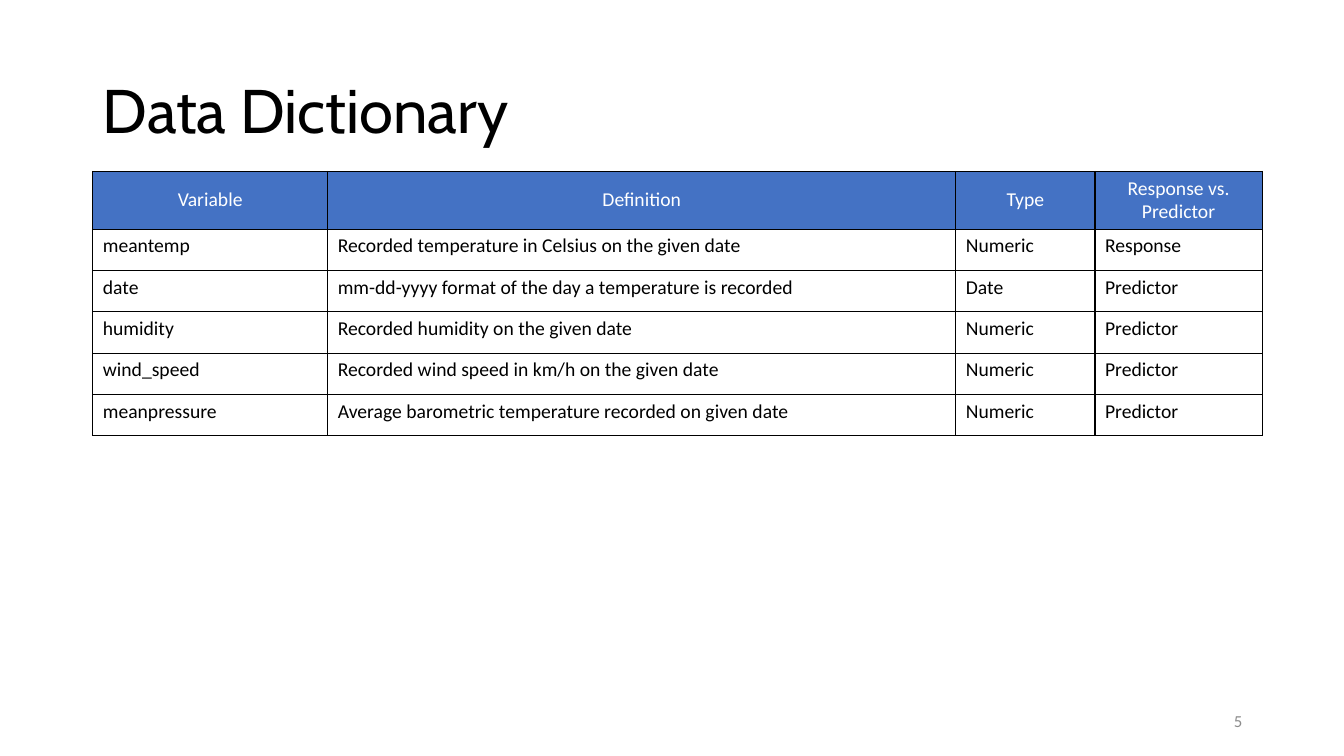
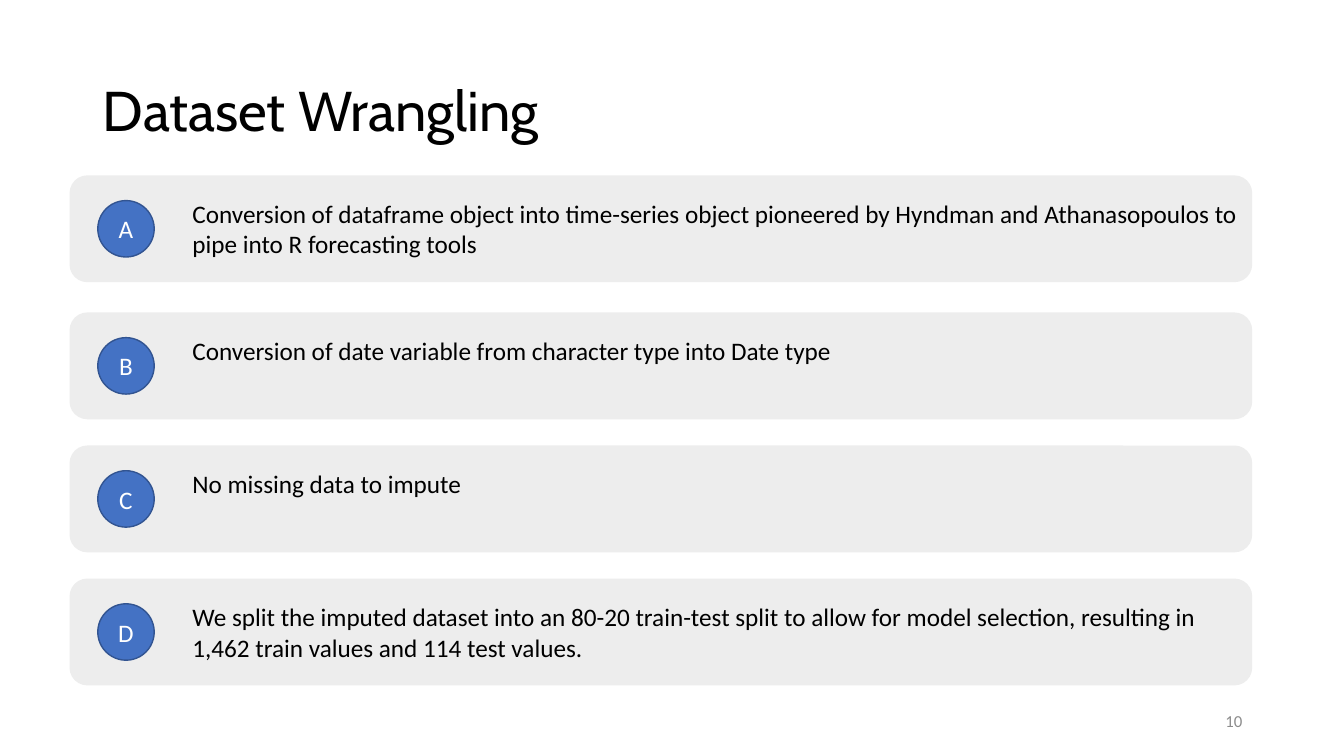
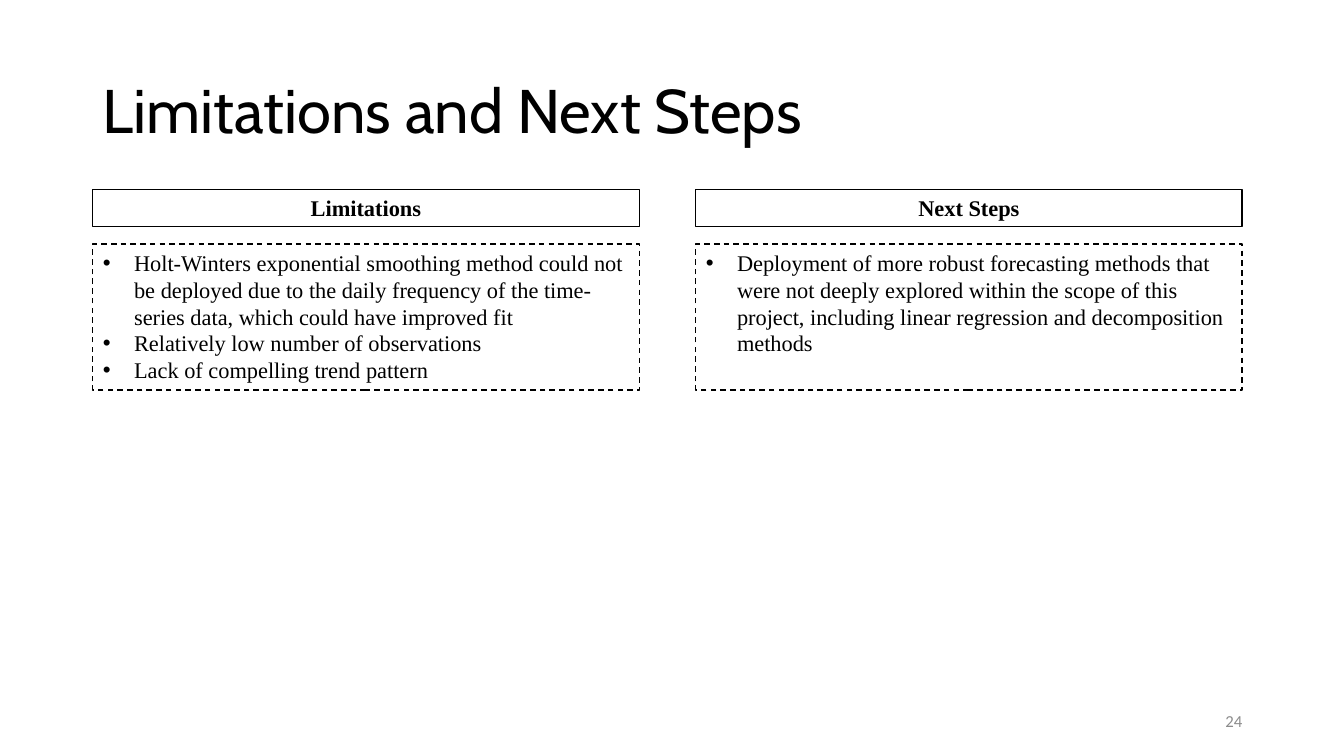
from dataclasses import dataclass

from lxml.etree import SubElement
from pptx import Presentation
from pptx.dml.color import RGBColor
from pptx.enum.dml import MSO_LINE
from pptx.enum.shapes import MSO_SHAPE
from pptx.enum.text import MSO_ANCHOR, MSO_AUTO_SIZE, PP_ALIGN
from pptx.oxml import parse_xml
from pptx.oxml.ns import nsdecls, qn
from pptx.util import Inches, Pt


@dataclass(frozen=True)
class Theme:
    title_font: str = "Cabin"
    body_font: str = "Calibri"
    list_font: str = "Times New Roman"
    black: str = "000000"
    white: str = "FFFFFF"
    blue: str = "4472C4"
    dark_blue: str = "325491"
    band: str = "EDEDED"
    grey: str = "8C8C8C"
    title_size: int = 44
    small_title_size: int = 40
    row_size: int = 18
    list_size: int = 16
    table_size: int = 14
    number_size: int = 12


THEME = Theme()
LEFT = 0.92
TITLE_ONLY, COMPARISON = 5, 4

VARIABLES = [
    ("Variable", "Definition", "Type", "Response vs. Predictor"),
    ("meantemp", "Recorded temperature in Celsius on the given date", "Numeric", "Response"),
    ("date", "mm-dd-yyyy format of the day a temperature is recorded", "Date", "Predictor"),
    ("humidity", "Recorded humidity on the given date", "Numeric", "Predictor"),
    ("wind_speed", "Recorded wind speed in km/h on the given date", "Numeric", "Predictor"),
    ("meanpressure", "Average barometric temperature recorded on given date", "Numeric", "Predictor"),
]

WRANGLING_STEPS = [
    (1.74, "A", "Conversion of dataframe object into time-series object pioneered by "
     "Hyndman and Athanasopoulos to pipe into R forecasting tools"),
    (3.1, "B", "Conversion of date variable from character type into Date type"),
    (4.42, "C", "No missing data to impute"),
    (5.74, "D", "We split the imputed dataset into an 80-20 train-test split to allow for "
     "model selection, resulting in 1,462 train values and 114 test values."),
]

OUTLOOK = [
    ("Limitations", [
        "Holt-Winters exponential smoothing method could not be deployed due to the daily "
        "frequency of the time-series data, which could have improved fit",
        "Relatively low number of observations",
        "Lack of compelling trend pattern",
    ]),
    ("Next Steps", [
        "Deployment of more robust forecasting methods that were not deeply explored within "
        "the scope of this project, including linear regression and decomposition methods",
    ]),
]


def place(shape, left, top, width, height):
    shape.left, shape.top = Inches(left), Inches(top)
    shape.width, shape.height = Inches(width), Inches(height)


def style_paragraph(paragraph, font, size, color, align=PP_ALIGN.LEFT, bold=False):
    paragraph.alignment = align
    paragraph.font.name = font
    paragraph.font.size = Pt(size)
    paragraph.font.bold = bold
    paragraph.font.color.rgb = RGBColor.from_string(color)


def prepare_frame(frame, anchor=MSO_ANCHOR.TOP):
    frame.word_wrap = True
    frame.auto_size = MSO_AUTO_SIZE.NONE
    frame.vertical_anchor = anchor


def add_text(page, bounds, text, size, color, align=PP_ALIGN.LEFT, anchor=MSO_ANCHOR.TOP):
    box = page.shapes.add_textbox(*map(Inches, bounds))
    prepare_frame(box.text_frame, anchor)
    box.text_frame.text = text
    style_paragraph(box.text_frame.paragraphs[0], THEME.body_font, size, color, align)


def add_filled_shape(page, kind, bounds, fill, line=None):
    shape = page.shapes.add_shape(kind, *map(Inches, bounds))
    shape.shadow.inherit = False
    shape.fill.solid()
    shape.fill.fore_color.rgb = RGBColor.from_string(fill)
    if line:
        shape.line.color.rgb = RGBColor.from_string(line)
        shape.line.width = Pt(1)
    else:
        shape.line.fill.background()
    return shape


def add_page(deck, layout, title, number, title_size=THEME.title_size):
    page = deck.slides.add_slide(deck.slide_layouts[layout])
    heading = page.shapes.title
    place(heading, LEFT, 0.4, 11.5, 1.45)
    prepare_frame(heading.text_frame, MSO_ANCHOR.MIDDLE)
    heading.text_frame.text = title
    paragraph = heading.text_frame.paragraphs[0]
    paragraph.line_spacing = 0.9
    style_paragraph(paragraph, THEME.title_font, title_size, THEME.black)
    add_text(page, (9.42, 6.95, 3, 0.4), str(number), THEME.number_size, THEME.grey,
             PP_ALIGN.RIGHT, MSO_ANCHOR.MIDDLE)
    return page


def add_cell_borders(cell):
    properties = cell._tc.get_or_add_tcPr()
    for position, side in enumerate(("lnL", "lnR", "lnT", "lnB")):
        properties.insert(position, parse_xml(
            f'<a:{side} {nsdecls("a")} w="{Pt(1)}"><a:solidFill>'
            f'<a:srgbClr val="{THEME.black}"/></a:solidFill></a:{side}>'))


def fill_cell(cell, text, is_header):
    cell.text = text
    cell.fill.solid()
    cell.fill.fore_color.rgb = RGBColor.from_string(THEME.blue if is_header else THEME.white)
    cell.vertical_anchor = MSO_ANCHOR.MIDDLE if is_header else MSO_ANCHOR.TOP
    style_paragraph(cell.text_frame.paragraphs[0], THEME.body_font, THEME.table_size,
                    THEME.white if is_header else THEME.black,
                    PP_ALIGN.CENTER if is_header else PP_ALIGN.LEFT)
    add_cell_borders(cell)


def add_variable_table(page, rows, widths):
    frame = page.shapes.add_table(len(rows), len(widths), Inches(LEFT), Inches(1.7),
                                  Inches(sum(widths)), Inches(2.62))
    table = frame.table
    table.first_row = False
    table.horz_banding = False
    for column, width in zip(table.columns, widths):
        column.width = Inches(width)
    for index, texts in enumerate(rows):
        table.rows[index].height = Inches(0.41 if index else 0.57)
        for column, text in enumerate(texts):
            fill_cell(table.cell(index, column), text, index == 0)


def add_step(page, top, letter, text):
    add_filled_shape(page, MSO_SHAPE.ROUNDED_RECTANGLE, (0.69, top, 11.73, 1.06), THEME.band)
    badge = add_filled_shape(page, MSO_SHAPE.OVAL, (0.97, top + 0.25, 0.56, 0.56),
                             THEME.blue, THEME.dark_blue)
    prepare_frame(badge.text_frame, MSO_ANCHOR.MIDDLE)
    badge.text_frame.text = letter
    style_paragraph(badge.text_frame.paragraphs[0], THEME.body_font, THEME.row_size,
                    THEME.white, PP_ALIGN.CENTER)
    add_text(page, (1.81, top + 0.18, 10.6, 0.71), text, THEME.row_size, THEME.black)


def add_bullet(paragraph):
    properties = paragraph._p.get_or_add_pPr()
    properties.set("marL", str(Inches(0.31)))
    properties.set("indent", str(-Inches(0.31)))
    SubElement(properties, qn("a:buFont"), typeface="Arial")
    SubElement(properties, qn("a:buChar"), char="•")


def fill_outlined_body(body, bounds, texts, is_heading):
    place(body, *bounds)
    body.line.color.rgb = RGBColor.from_string(THEME.black)
    body.line.width = Pt(1)
    body.line.dash_style = MSO_LINE.SOLID if is_heading else MSO_LINE.DASH
    frame = body.text_frame
    prepare_frame(frame)
    frame.text = "\n".join(texts)
    for paragraph in frame.paragraphs:
        paragraph.space_before = Pt(0)
        if not is_heading:
            add_bullet(paragraph)
        style_paragraph(paragraph, THEME.list_font, THEME.list_size, THEME.black,
                        PP_ALIGN.CENTER if is_heading else PP_ALIGN.LEFT, is_heading)


def add_outlook_columns(page, columns):
    bodies = [box for box in page.placeholders if box.placeholder_format.idx in (1, 2, 3, 4)]
    for index, (heading, points) in enumerate(columns):
        left = LEFT + 5.98 * index
        heading_body, list_body = bodies[2 * index:2 * index + 2]
        fill_outlined_body(heading_body, (left, 1.88, 5.42, 0.37), [heading], True)
        fill_outlined_body(list_body, (left, 2.42, 5.42, 1.45), points, False)


def main():
    deck = Presentation()
    deck.slide_width, deck.slide_height = Inches(13.33), Inches(7.5)

    page = add_page(deck, TITLE_ONLY, "Data Dictionary", 5)
    add_variable_table(page, VARIABLES, (2.33, 6.23, 1.38, 1.66))

    page = add_page(deck, TITLE_ONLY, "Dataset Wrangling", 10, THEME.small_title_size)
    for step in WRANGLING_STEPS:
        add_step(page, *step)

    page = add_page(deck, COMPARISON, "Limitations and Next Steps", 24)
    add_outlook_columns(page, OUTLOOK)

    deck.save("out.pptx")


if __name__ == "__main__":
    main()
